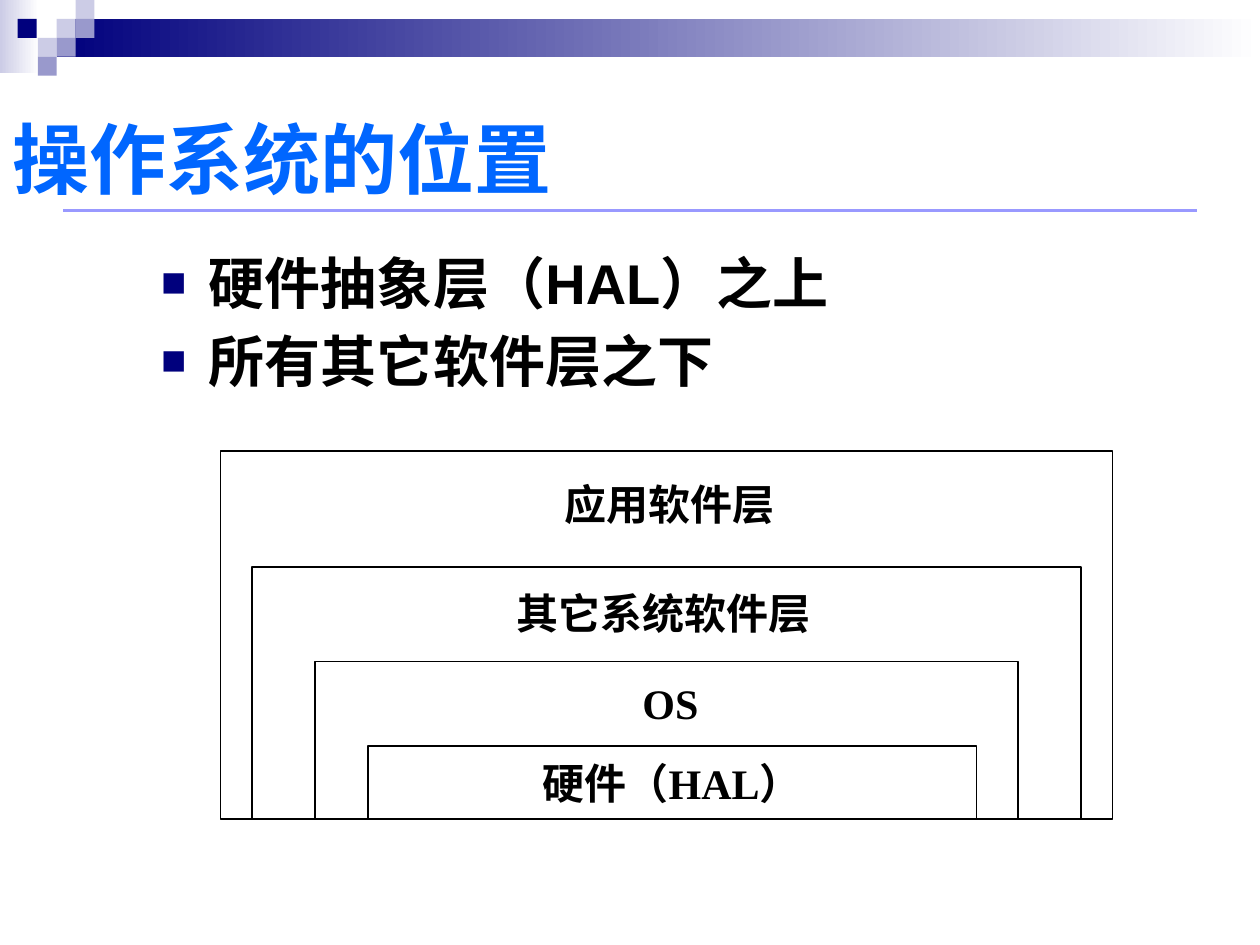
import pptx
import pptx.util
import pptx.dml.color
import pptx.enum.shapes
import pptx.enum.text
import lxml.etree

Inches = pptx.util.Inches
Pt = pptx.util.Pt
ALIGN = pptx.enum.text.PP_ALIGN
ANCHOR = pptx.enum.text.MSO_ANCHOR
RECT = pptx.enum.shapes.MSO_SHAPE.RECTANGLE
NS = "http://schemas.openxmlformats.org/drawingml/2006/main"


def rgb(code):
    return pptx.dml.color.RGBColor.from_string(code)


def write(frame, text, size=24, font="Times New Roman", color="000000",
          align=ALIGN.LEFT, anchor=ANCHOR.TOP, wrap=False, bullet=None, gap=0):
    frame.word_wrap = wrap
    frame.vertical_anchor = anchor
    for i, line in enumerate(text.split("\n")):
        para = frame.add_paragraph() if i else frame.paragraphs[0]
        para.alignment = align
        if i:
            para.space_before = Pt(gap)
        if bullet:
            props = para._p.get_or_add_pPr()
            props.set("marL", str(Inches(0.38)))
            props.set("indent", str(-Inches(0.38)))
            tint = lxml.etree.SubElement(props, f"{{{NS}}}buClr")
            lxml.etree.SubElement(tint, f"{{{NS}}}srgbClr", val=bullet)
            lxml.etree.SubElement(props, f"{{{NS}}}buSzPct", val="75000")
            lxml.etree.SubElement(props, f"{{{NS}}}buFont", typeface="Arial")
            lxml.etree.SubElement(props, f"{{{NS}}}buChar", char="■")
        run = para.add_run()
        run.text = line
        run.font.size = Pt(size)
        run.font.name = font
        run.font.bold = True
        run.font.color.rgb = rgb(color)


deck = pptx.Presentation()
deck.slide_width = Inches(10)
deck.slide_height = Inches(7.5)
slide = deck.slides.add_slide(deck.slide_layouts[6])
shapes = slide.shapes

bands = [(0, 0, 0.31, 0.58, "CCCCE6"), (0.45, 0.15, 9.55, 0.3, "00007D")]
for x, y, w, h, color in bands:
    band = shapes.add_shape(RECT, Inches(x), Inches(y), Inches(w), Inches(h))
    band.shadow.inherit = False
    band.line.fill.background()
    band.fill.gradient()
    band.fill.gradient_angle = 0
    for stop, code in zip(band.fill.gradient_stops, (color, "FFFFFF")):
        stop.color.rgb = rgb(code)

side = 0.15
tiles = [(0.45, 0.15, "CCCCE6"), (0.6, 0, "CCCCE6"), (0.6, 0.15, "9999CC"),
         (0.3, 0.3, "CCCCE6"), (0.14, 0.15, "00007D"), (0.45, 0.3, "9999CC"),
         (0.3, 0.45, "9999CC")]
for x, y, color in tiles:
    tile = shapes.add_shape(RECT, Inches(x), Inches(y), Inches(side), Inches(side))
    tile.shadow.inherit = False
    tile.line.fill.background()
    tile.fill.solid()
    tile.fill.fore_color.rgb = rgb(color)

rule = shapes.add_connector(pptx.enum.shapes.MSO_CONNECTOR.STRAIGHT,
                            Inches(0.5), Inches(1.67), Inches(9.5), Inches(1.67))
rule.line.color.rgb = rgb("9999FF")
rule.line.width = Pt(1.5)
lxml.etree.SubElement(rule._element.spPr, f"{{{NS}}}effectLst")

title = shapes.add_textbox(Inches(0), Inches(0.5), Inches(9), Inches(1.5))
write(title.text_frame, "操作系统的位置", size=44, font="Arial", color="0066FF",
      anchor=ANCHOR.MIDDLE, wrap=True)
body = shapes.add_textbox(Inches(1.18), Inches(1.92), Inches(8.82), Inches(4.47))
write(body.text_frame, "硬件抽象层（HAL）之上\n所有其它软件层之下", size=32,
      font="Arial", wrap=True, bullet="00007D", gap=6.4)

base = 6.5
layers = [(1.75, 3.58, 7.08), (2, 4.5, 6.58), (2.5, 5.25, 5.58), (2.92, 5.92, 4.83)]
for x, y, w in layers:
    layer = shapes.add_shape(RECT, Inches(x), Inches(y), Inches(w), Inches(base - y))
    layer.shadow.inherit = False
    layer.fill.solid()
    layer.fill.fore_color.rgb = rgb("FFFFFF")
    layer.line.color.rgb = rgb("000000")
    layer.line.width = Pt(0.75)
write(layer.text_frame, "硬件（HAL）", align=ALIGN.CENTER, anchor=ANCHOR.MIDDLE)

labels = [("OS", 5, 5.33, 0.65), ("其它系统软件层", 4, 4.61, 2.55),
          ("应用软件层", 4.38, 3.75, 1.88)]
for text, x, y, w in labels:
    label = shapes.add_textbox(Inches(x), Inches(y), Inches(w), Inches(0.5))
    write(label.text_frame, text)

deck.save("out.pptx")
